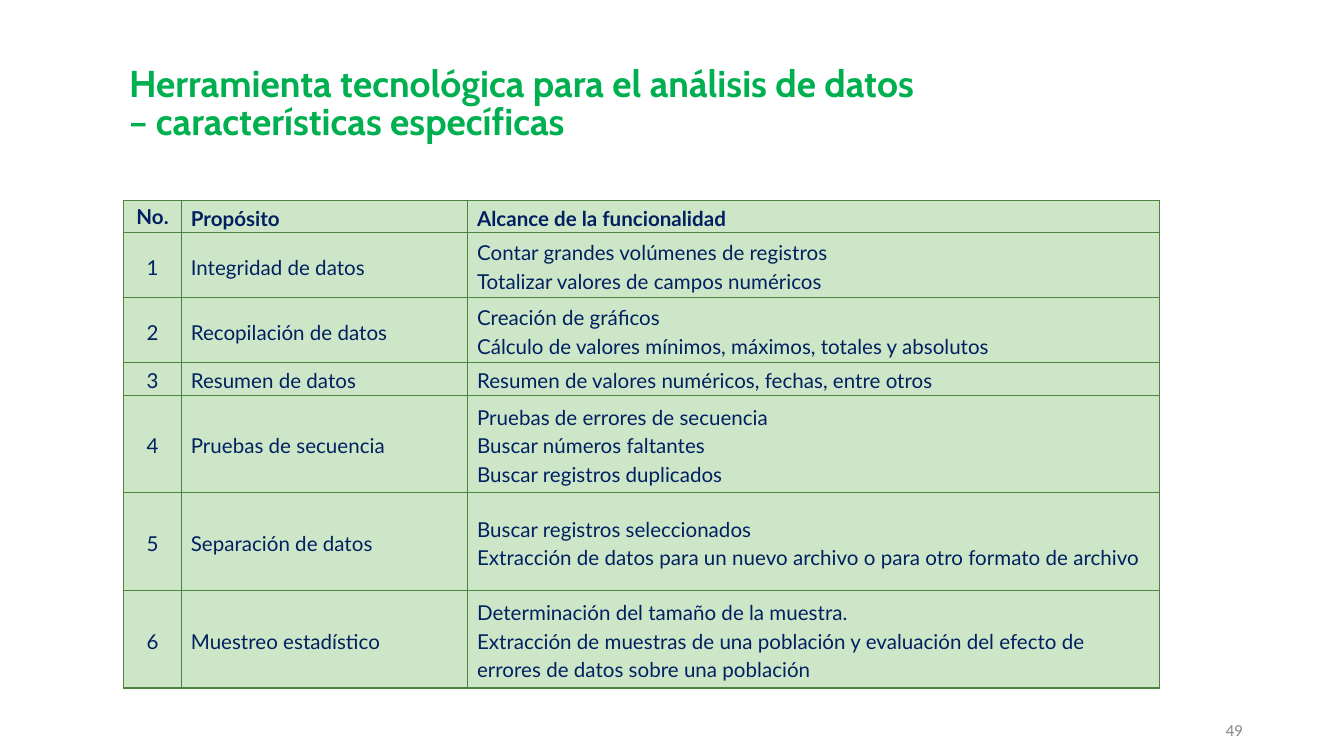
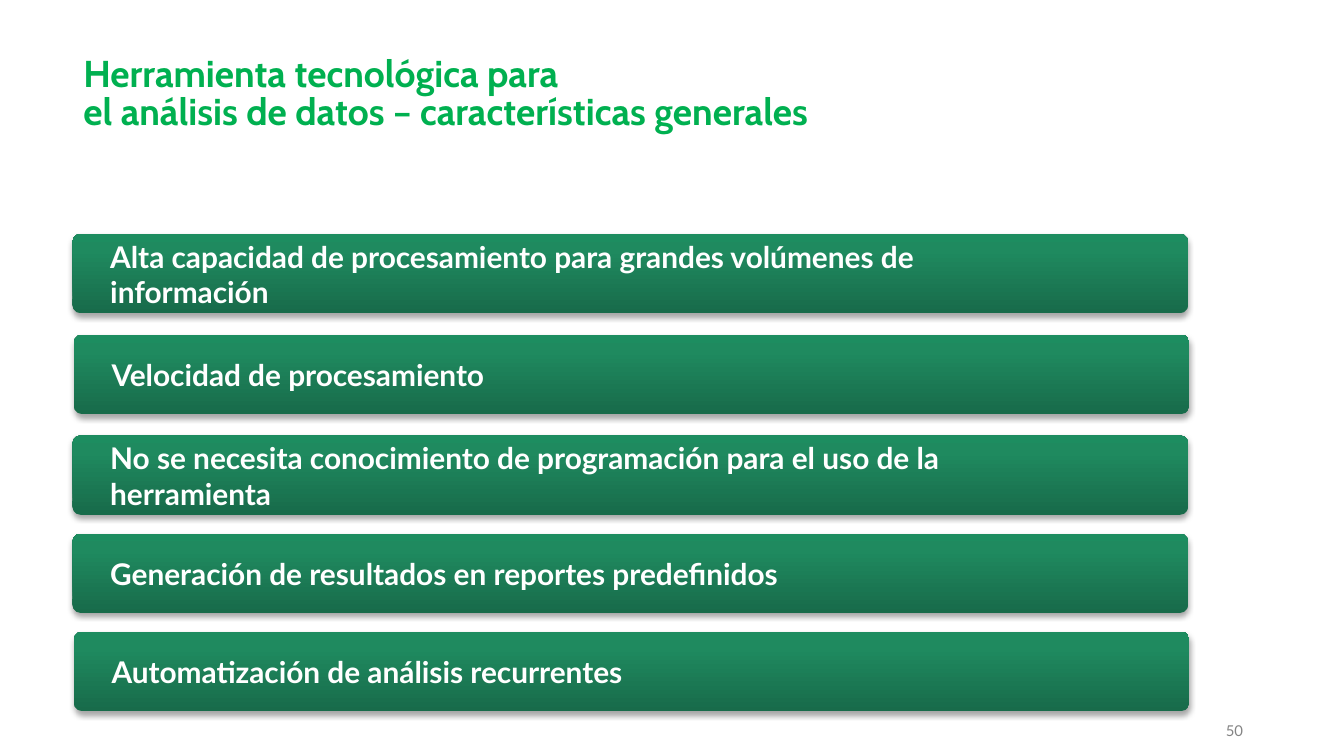
import pptx
import pptx.util
import pptx.dml.color
import pptx.enum.shapes
import pptx.enum.text
import pptx.oxml
import pptx.oxml.ns

Inches, Pt = pptx.util.Inches, pptx.util.Pt
ALIGN, ANCHOR = pptx.enum.text.PP_ALIGN, pptx.enum.text.MSO_ANCHOR
A_NS = pptx.oxml.ns.nsdecls("a")

COLORS = {
    "title": "00B050", "page": "848484", "navy": "002060", "white": "FFFFFF",
    "cell": "CDE6C8", "border": "4B843F", "shadow": "000000",
    "bar_bottom": "186B4A", "bar_middle": "1F8A5F", "bar_top": "1D8D60",
}


def fill_text(frame, lines, font, size, color, bold=False, align=ALIGN.LEFT, spacing=1.0):
    """Write one paragraph per line, all in the same style."""
    frame.word_wrap = True
    frame.text = "\n".join(lines)
    for paragraph in frame.paragraphs:
        paragraph.alignment = align
        paragraph.line_spacing = spacing
        for run in paragraph.runs:
            run.font.name, run.font.size, run.font.bold = font, Pt(size), bold
            run.font.color.rgb = pptx.dml.color.RGBColor.from_string(COLORS[color])


def add_text(shapes, box, insets, anchor, lines, *style, **options):
    """Add a text box with its insets given as left, top, right, bottom."""
    frame = shapes.add_textbox(*map(Inches, box)).text_frame
    (frame.margin_left, frame.margin_top,
     frame.margin_right, frame.margin_bottom) = map(Inches, insets)
    frame.vertical_anchor = anchor
    fill_text(frame, lines, *style, **options)
    return frame


# Widescreen page, 16:9
deck = pptx.Presentation()
deck.slide_width = Inches(10)
deck.slide_height = Inches(10 * 9 / 16)

# Shared parts: title and page number
headings = [
    ((0.77, 0.37, 6.7, 0.82), 0.19, 49,
     "Herramienta tecnológica para el análisis de datos\v– características específicas"),
    ((0.36, 0.37, 8.89, 0.68), 0.26, 50,
     "Herramienta tecnológica para\vel análisis de datos – características generales"),
]
for title_box, left_inset, page, title in headings:
    slide = deck.slides.add_slide(deck.slide_layouts[6])
    add_text(slide.shapes, (8.93, 5.37, 0.32, 0.13), (0, 0, 0, 0), ANCHOR.BOTTOM,
             [str(page)], "Lato", 8, "page", align=ALIGN.RIGHT)
    add_text(slide.shapes, title_box, (left_inset, 0.19, 0.19, 0.19), ANCHOR.MIDDLE,
             [title], "Cabin", 20, "title", bold=True, spacing=0.85)
specific_slide, general_slide = deck.slides

# Specific features: purpose, scope and row height in text lines
features = [
    ("Propósito", ["Alcance de la funcionalidad"], 1),
    ("Integridad de datos", ["Contar grandes volúmenes de registros",
                             "Totalizar valores de campos numéricos"], 2),
    ("Recopilación de datos", ["Creación de gráficos",
                               "Cálculo de valores mínimos, máximos, totales y absolutos"], 2),
    ("Resumen de datos", ["Resumen de valores numéricos, fechas, entre otros"], 1),
    ("Pruebas de secuencia", ["Pruebas de errores de secuencia", "Buscar números faltantes",
                              "Buscar registros duplicados"], 3),
    ("Separación de datos", ["Buscar registros seleccionados",
                             "Extracción de datos para un nuevo archivo o para otro formato de archivo"], 3),
    ("Muestreo estadístico", ["Determinación del tamaño de la muestra.",
                              "Extracción de muestras de una población y evaluación del efecto de "
                              "errores de datos sobre una población"], 3),
]
table_height = 3.63
line_height = table_height / sum(feature[2] for feature in features)
feature_table = specific_slide.shapes.add_table(
    len(features), 3, Inches(0.92), Inches(1.49), Inches(7.71), Inches(table_height)).table
for column, width in zip(feature_table.columns, (0.43, 2.13, 5.15)):
    column.width = Inches(width)

for number, (purpose, scope, line_count) in enumerate(features):
    feature_table.rows[number].height = Inches(line_count * line_height)
    contents = [[str(number) if number else "No."], [purpose], scope]
    for column_index, lines in enumerate(contents):
        cell = feature_table.cell(number, column_index)
        cell.margin_left = cell.margin_right = Inches(0.07)
        cell.margin_top = cell.margin_bottom = 0
        in_corner = number == 0 and column_index == 0
        cell.vertical_anchor = ANCHOR.TOP if in_corner else ANCHOR.MIDDLE
        fill_text(cell.text_frame, lines, "Lato", 11, "navy", bold=number == 0,
                  align=ALIGN.LEFT if column_index else ALIGN.CENTER, spacing=1.15)
        cell_properties = cell._tc.get_or_add_tcPr()
        for side in ("lnL", "lnR", "lnT", "lnB"):
            cell_properties.append(pptx.oxml.parse_xml(
                f'<a:{side} {A_NS} w="{Pt(0.75)}"><a:solidFill>'
                f'<a:srgbClr val="{COLORS["border"]}"/></a:solidFill></a:{side}>'))
        cell.fill.solid()
        cell.fill.fore_color.rgb = pptx.dml.color.RGBColor.from_string(COLORS["cell"])

# General features: bar left, bar top, label width and wording
benefits = [
    (0.54, 1.74, 6.62, "Alta capacidad de procesamiento para grandes volúmenes de información"),
    (0.55, 2.49, 6.62, "Velocidad de procesamiento"),
    (0.54, 3.24, 7.12, "No se necesita conocimiento de programación para el uso de la herramienta"),
    (0.54, 3.97, 7.12, "Generación de resultados en reportes predefinidos"),
    (0.55, 4.7, 7.12, "Automatización de análisis recurrentes"),
]
bar_stops = [(0, "bar_bottom"), (80, "bar_middle"), (100, "bar_top")]
for left, top, label_width, benefit in benefits:
    group = general_slide.shapes.add_group_shape()
    bar = group.shapes.add_shape(pptx.enum.shapes.MSO_SHAPE.ROUNDED_RECTANGLE,
                                 Inches(left), Inches(top), Inches(8.3), Inches(0.59))
    bar.adjustments[0] = 0.1
    bar.line.fill.background()

    # Gradient running from the bottom edge up
    bar.fill.gradient()
    bar.fill.gradient_angle = 90
    stop_list = bar._element.spPr.find(".//" + pptx.oxml.ns.qn("a:gsLst"))
    for old_stop in list(stop_list):
        stop_list.remove(old_stop)
    for position, color in bar_stops:
        stop_list.append(pptx.oxml.parse_xml(
            f'<a:gs {A_NS} pos="{position * 1000}"><a:srgbClr val="{COLORS[color]}"/></a:gs>'))

    # Soft shadow below the bar
    bar.shadow.inherit = False
    bar._element.spPr.find(pptx.oxml.ns.qn("a:effectLst")).append(pptx.oxml.parse_xml(
        f'<a:outerShdw {A_NS} blurRad="{Pt(3.1)}" dist="{Pt(1.8)}" dir="5400000" rotWithShape="0">'
        f'<a:srgbClr val="{COLORS["shadow"]}"><a:alpha val="35000"/></a:srgbClr></a:outerShdw>'))

    label = add_text(group.shapes, (left + 0.03, top + 0.02, label_width, 0.56), (0.06,) * 4,
                     ANCHOR.MIDDLE, [benefit], "Lato", 16, "white", bold=True)
    label_properties = label.paragraphs[0]._p.get_or_add_pPr()
    label_properties.set("marL", str(Inches(0.19)))
    label_properties.set("indent", "0")

deck.save("out.pptx")
